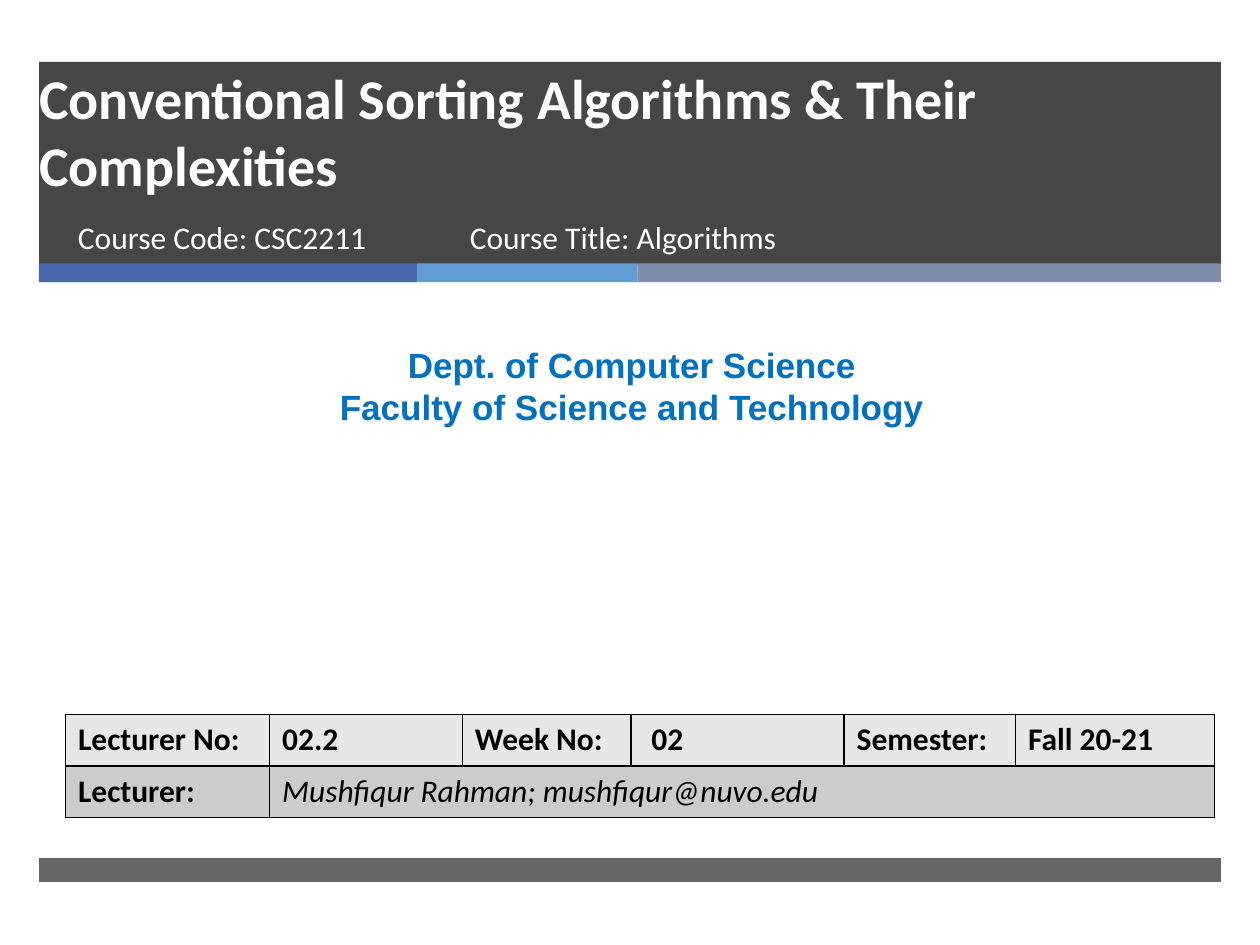
from lxml import etree
from pptx import Presentation
from pptx.dml.color import RGBColor
from pptx.enum.shapes import MSO_SHAPE
from pptx.enum.text import MSO_ANCHOR, PP_ALIGN
from pptx.oxml.ns import qn
from pptx.util import Inches, Pt

RECTANGLE = MSO_SHAPE.RECTANGLE
TOP, BOTTOM = MSO_ANCHOR.TOP, MSO_ANCHOR.BOTTOM
LEFT, CENTER = PP_ALIGN.LEFT, PP_ALIGN.CENTER

WHITE = RGBColor(0xFF, 0xFF, 0xFF)
BLACK = RGBColor(0x00, 0x00, 0x00)
CHARCOAL = RGBColor(0x26, 0x26, 0x26)
INDIGO = RGBColor(0x4A, 0x66, 0xAC)
SKY = RGBColor(0x62, 0x9D, 0xD1)
SLATE = RGBColor(0x7F, 0x8F, 0xA9)
HEADING_BLUE = RGBColor(0x00, 0x70, 0xC0)
LIGHT_GREY = RGBColor(0xE7, 0xE7, 0xE7)
MID_GREY = RGBColor(0xCC, 0xCC, 0xCC)

SLIDE_WIDTH, SLIDE_HEIGHT = 10, 7.5
MARGIN = 0.31
BAND_WIDTH = SLIDE_WIDTH - 2 * MARGIN
STRIPES = [(INDIGO, 3), (SKY, 1.75), (SLATE, BAND_WIDTH - 4.75)]

TABLE_COLUMNS = [1.62, 1.53, 1.34, 1.69, 1.36, 1.58]
ROW_HEIGHT = 0.41
LECTURE_ROW = ["Lecturer No:", "02.2", "Week No:", "02", "Semester:", "Fall 20-21"]
LECTURER_ROW = ["Lecturer:", "Mushfiqur Rahman; mushfiqur@nuvo.edu"]


def write_text(frame, *lines, size=18, font="Calibri", color=WHITE, bold=False,
               italic=False, align=LEFT, anchor=TOP):
    """Fill a text frame with one paragraph per line."""
    frame.word_wrap = True
    frame.vertical_anchor = anchor
    for index, line in enumerate(lines):
        para = frame.paragraphs[0] if index == 0 else frame.add_paragraph()
        para.alignment = align
        span = para.add_run()
        span.text = line
        span.font.size = Pt(size)
        span.font.name = font
        span.font.color.rgb = color
        span.font.bold = bold
        span.font.italic = italic


def add_band(page, left, top, width, height, color, opacity=100):
    """Add a plain rectangle behind the title."""
    band = page.shapes.add_shape(
        RECTANGLE, Inches(left), Inches(top), Inches(width), Inches(height))
    band.shadow.inherit = False
    band.line.fill.background()
    band.fill.solid()
    band.fill.fore_color.rgb = color
    if opacity < 100:
        tint = band.element.spPr.find(qn("a:solidFill"))[0]
        etree.SubElement(tint, qn("a:alpha"), val=str(opacity * 1000))
    page.shapes.title.element.addprevious(band.element)


def add_text(page, left, top, width, height, *lines, **text_format):
    box = page.shapes.add_textbox(
        Inches(left), Inches(top), Inches(width), Inches(height))
    write_text(box.text_frame, *lines, **text_format)


def set_title(page, left, top, width, height, text, **text_format):
    title = page.shapes.title
    title.left, title.top = Inches(left), Inches(top)
    title.width, title.height = Inches(width), Inches(height)
    write_text(title.text_frame, text, **text_format)


def style_cell(cell, fill):
    """Give a cell a solid fill and a thin black border."""
    cell.fill.solid()
    cell.fill.fore_color.rgb = fill
    properties = cell._tc.get_or_add_tcPr()
    for index, side in enumerate(("lnL", "lnR", "lnT", "lnB")):
        line = etree.Element(qn(f"a:{side}"), w=str(Pt(1)))
        paint = etree.SubElement(line, qn("a:solidFill"))
        etree.SubElement(paint, qn("a:srgbClr"), val=str(BLACK))
        properties.insert(index, line)


def add_lecture_table(page, left, top):
    table = page.shapes.add_table(
        2, len(TABLE_COLUMNS), Inches(left), Inches(top),
        Inches(sum(TABLE_COLUMNS)), Inches(2 * ROW_HEIGHT)).table
    for column, width in zip(table.columns, TABLE_COLUMNS):
        column.width = Inches(width)
    rows = [(LECTURE_ROW, LIGHT_GREY), (LECTURER_ROW, MID_GREY)]
    for row, (texts, fill) in enumerate(rows):
        table.rows[row].height = Inches(ROW_HEIGHT)
        for column in range(len(TABLE_COLUMNS)):
            style_cell(table.cell(row, column), fill)
        for column, text in enumerate(texts):
            is_name = row == 1 and column == 1
            write_text(table.cell(row, column).text_frame, text, color=BLACK,
                       bold=not is_name, italic=is_name)
    table.cell(0, 3).margin_left = Inches(0.16)
    table.cell(1, 1).merge(table.cell(1, len(TABLE_COLUMNS) - 1))


def main():
    deck = Presentation()
    deck.slide_width, deck.slide_height = Inches(SLIDE_WIDTH), Inches(SLIDE_HEIGHT)
    page = deck.slides.add_slide(deck.slide_layouts[5])

    # Header block, coloured stripes and footer bar
    add_band(page, MARGIN, 0.49, BAND_WIDTH, 1.61, CHARCOAL, opacity=85)
    left = MARGIN
    for color, width in STRIPES:
        add_band(page, left, 2.09, width, 0.15, color)
        left += width
    add_band(page, MARGIN, 6.81, BAND_WIDTH, 0.19, CHARCOAL, opacity=70)

    # Title and course details
    set_title(page, 0.21, 0.43, 8.54, 1.19,
              "Conventional Sorting Algorithms & Their Complexities",
              size=32, bold=True, anchor=BOTTOM)
    add_text(page, 0.52, 1.68, 3.05, 0.53, "Course Code: CSC2211")
    add_text(page, 3.63, 1.68, 4.55, 0.53, "Course Title: Algorithms")

    # Department
    add_text(page, 0.08, 2.68, 9.87, 0.77,
             "Dept. of Computer Science", "Faculty of Science and Technology",
             size=20, font="Arial", color=HEADING_BLUE, bold=True, align=CENTER)

    # Lecture details
    add_lecture_table(page, 0.52, 5.67)

    deck.save("out.pptx")


if __name__ == "__main__":
    main()
